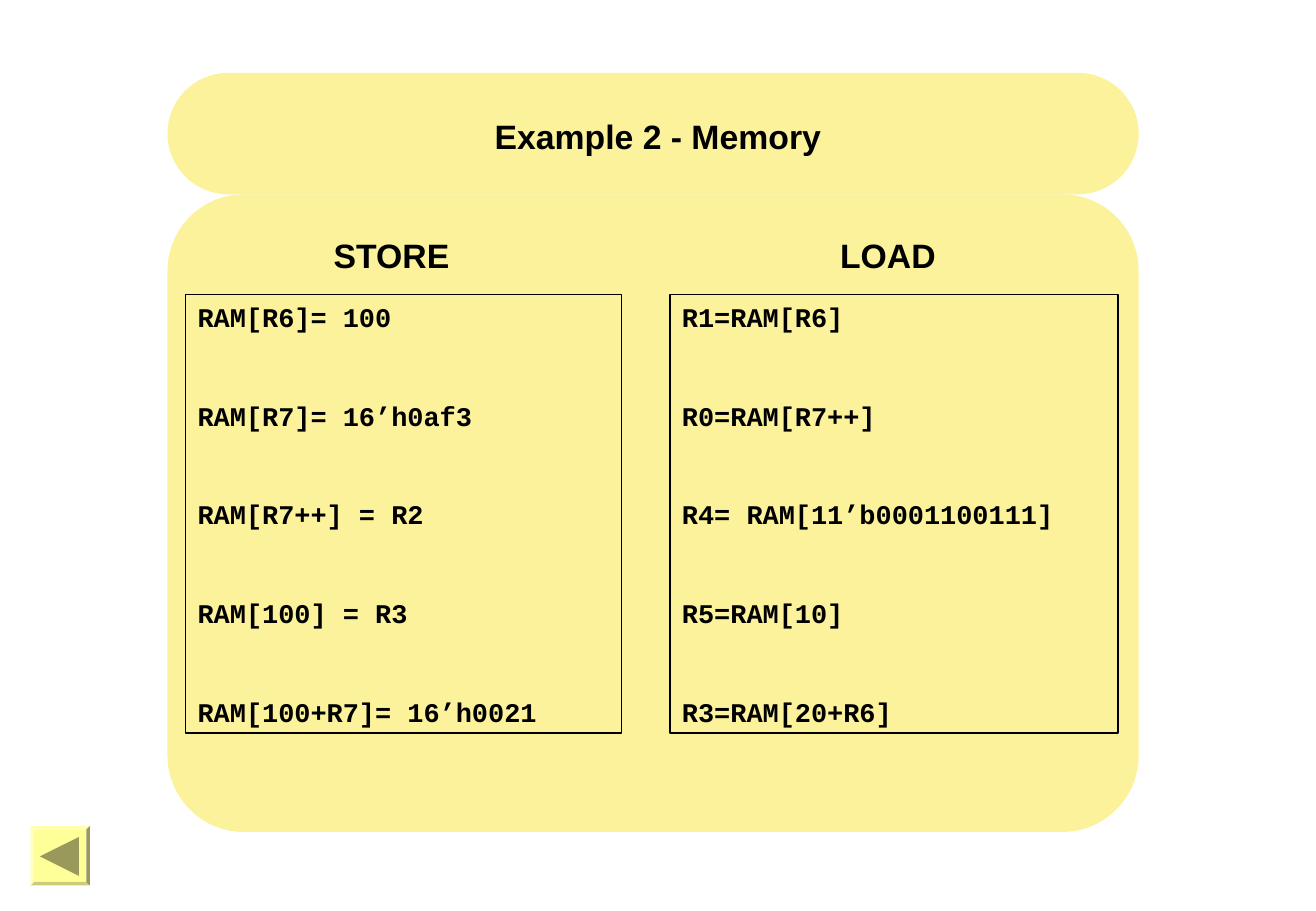
from pptx import Presentation
from pptx.dml.color import RGBColor
from pptx.enum.shapes import MSO_SHAPE
from pptx.enum.text import MSO_ANCHOR, PP_ALIGN
from pptx.util import Inches, Pt

WIDTH, HEIGHT = Inches(10.84), Inches(7.5)
CREAM, BLACK, BUTTON, ARROW = "FBF29B", "000000", "FFFF99", "99995C"
CARD_LEFT, CARD_WIDTH = 12.73, 73.8
HEADING_WIDTH = 14.11

STORE = ["RAM[R6]= 100", "RAM[R7]= 16’h0af3", "RAM[R7++] = R2",
         "RAM[100] = R3", "RAM[100+R7]= 16’h0021"]
LOAD = ["R1=RAM[R6]", "R0=RAM[R7++]", "R4= RAM[11’b0001100111]",
        "R5=RAM[10]", "R3=RAM[20+R6]"]


def color(hex_code):
    return RGBColor.from_string(hex_code)


def place(left, top, width, height):
    return [round(share * side / 100) for share, side in
            zip((left, top, width, height), (WIDTH, HEIGHT) * 2)]


def add_block(slide, kind, area, fill=None, line=None, corner=None):
    block = slide.shapes.add_shape(kind, *place(*area))
    block.shadow.inherit = False
    if fill:
        block.fill.solid()
        block.fill.fore_color.rgb = color(fill)
    else:
        block.fill.background()
    if line:
        block.line.color.rgb = color(line)
        block.line.width = Pt(0.75)
    else:
        block.line.fill.background()
    if corner is not None:
        block.adjustments[0] = corner
    return block


def write(frame, lines, font="Arial", size=20, align=PP_ALIGN.CENTER, gap=0):
    frame.word_wrap = True
    frame.vertical_anchor = MSO_ANCHOR.TOP
    frame.margin_left = frame.margin_right = Inches(0.1)
    frame.margin_top = frame.margin_bottom = Inches(0.05)
    for index, line in enumerate(lines):
        paragraph = frame.add_paragraph() if index else frame.paragraphs[0]
        paragraph.alignment = align
        if index:
            paragraph.space_before = Pt(gap)
        run = paragraph.add_run()
        run.text = line
        run.font.name, run.font.size, run.font.bold = font, Pt(size), True
        run.font.color.rgb = color(BLACK)


def add_heading(slide, text, left, top, width):
    heading = slide.shapes.add_textbox(*place(left, top, width, 5.87))
    write(heading.text_frame, [text])


def add_code_panel(slide, statements, left, width):
    panel = add_block(slide, MSO_SHAPE.RECTANGLE, (left, 32.33, width, 48.13),
                      line=BLACK)
    write(panel.text_frame, statements, font="Courier New", size=16,
          align=PP_ALIGN.LEFT, gap=39.3)


def add_back_button(slide):
    add_block(slide, MSO_SHAPE.BEVEL, (2.31, 90.67, 4.52, 6.53),
              fill=BUTTON, corner=0.06)
    arrow = add_block(slide, MSO_SHAPE.ISOSCELES_TRIANGLE,
                      (3.04, 91.87, 2.95, 4.27), fill=ARROW)
    arrow.rotation = 270


def main():
    deck = Presentation()
    deck.slide_width, deck.slide_height = WIDTH, HEIGHT
    slide = deck.slides.add_slide(deck.slide_layouts[6])

    for top, height, corner in ((8, 13.33, 0.5), (21.33, 70, 0.12)):
        add_block(slide, MSO_SHAPE.ROUNDED_RECTANGLE,
                  (CARD_LEFT, top, CARD_WIDTH, height),
                  fill=CREAM, corner=corner)
    add_heading(slide, "Example 2 - Memory", 0, 12, 100)

    for title, title_left, statements, left, width in (
            ("STORE", 22.69, STORE, 14.11, 33.12),
            ("LOAD", 60.42, LOAD, 50.92, 34.04)):
        add_code_panel(slide, statements, left, width)
        add_heading(slide, title, title_left, 25.07, HEADING_WIDTH)

    add_back_button(slide)
    deck.save("out.pptx")


if __name__ == "__main__":
    main()
